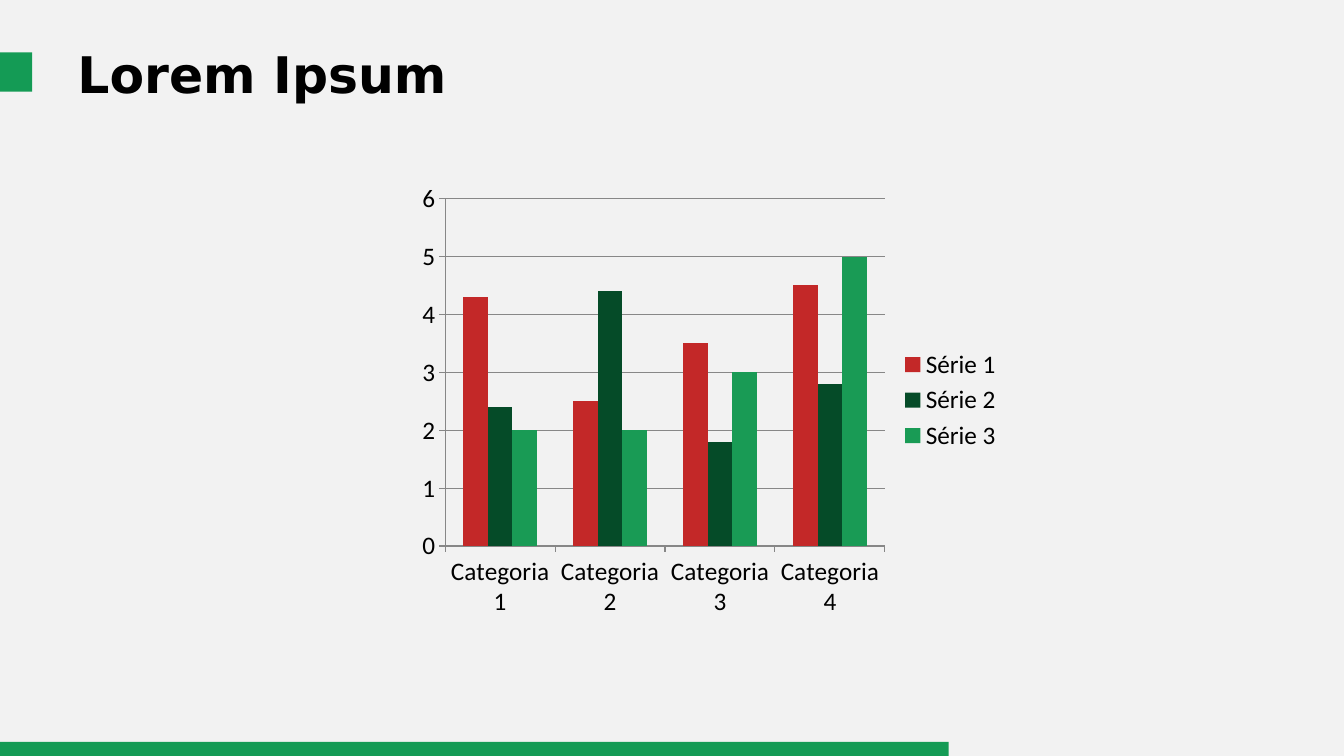
from pptx import Presentation
from pptx.chart.data import CategoryChartData
from pptx.dml.color import RGBColor
from pptx.enum.chart import XL_CHART_TYPE, XL_LEGEND_POSITION, XL_TICK_MARK
from pptx.enum.shapes import MSO_SHAPE
from pptx.enum.text import MSO_ANCHOR
from pptx.util import Inches, Pt

COLUMN = XL_CHART_TYPE.COLUMN_CLUSTERED
RIGHT = XL_LEGEND_POSITION.RIGHT
OUTSIDE = XL_TICK_MARK.OUTSIDE
RECT = MSO_SHAPE.RECTANGLE
MIDDLE = MSO_ANCHOR.MIDDLE

COLORS = {"back": "F2F2F2", "text": "000000", "band": "149B55", "grid": "878787",
          "red": "C32828", "dark": "054B28", "green": "199B55"}
FONTS = {"title": {"name": "DejaVu Sans", "size": Pt(36), "bold": True},
         "chart": {"name": "Calibri", "size": Pt(18), "bold": False}}
SERIES = [("Série 1", (4.3, 2.5, 3.5, 4.5), "red"),
          ("Série 2", (2.4, 4.4, 1.8, 2.8), "dark"),
          ("Série 3", (2, 2, 3, 5), "green")]


def apply(target, values):
    for name, value in values.items():
        setattr(target, name, value)


class Deck:
    """Hold the style and the current slide, and draw its elements."""

    def __init__(self, colors, fonts):
        self.colors = colors
        self.fonts = fonts
        self.file = Presentation()
        apply(self.file, {"slide_width": Inches(13.33), "slide_height": Inches(7.5)})
        self.slide = self.file.slides.add_slide(self.file.slide_layouts[6])
        self.paint(self.slide.background.fill, "back")

    def paint(self, fill, color):
        fill.solid()
        fill.fore_color.rgb = RGBColor.from_string(self.colors[color])

    def style(self, font, kind):
        apply(font, self.fonts[kind])
        font.color.rgb = RGBColor.from_string(self.colors["text"])

    def band(self, *box):
        shape = self.slide.shapes.add_shape(RECT, *map(Inches, box))
        shape.shadow.inherit = False
        self.paint(shape.fill, "band")
        shape.line.fill.background()

    def title(self, text, *box):
        frame = self.slide.shapes.add_textbox(*map(Inches, box)).text_frame
        apply(frame, {"word_wrap": True, "vertical_anchor": MIDDLE})
        run = frame.paragraphs[0].add_run()
        run.text = text
        self.style(run.font, "title")

    def rule(self, line):
        self.paint(line.fill, "grid")
        line.width = Pt(0.75)

    def chart(self, series, *box):
        data = CategoryChartData()
        data.categories = [f"Categoria {n}" for n in range(1, 5)]
        for name, values, _ in series:
            data.add_series(name, values)
        chart = self.slide.shapes.add_chart(COLUMN, *map(Inches, box), data).chart
        apply(chart, {"has_title": False, "has_legend": True})
        apply(chart.legend, {"position": RIGHT, "include_in_layout": False})
        self.style(chart.font, "chart")
        for axis in (chart.category_axis, chart.value_axis):
            axis.major_tick_mark = OUTSIDE
            self.rule(axis.format.line)
        apply(chart.value_axis, {"minimum_scale": 0, "maximum_scale": 6,
                                 "major_unit": 1, "has_major_gridlines": True})
        self.rule(chart.value_axis.major_gridlines.format.line)
        plot = chart.plots[0]
        apply(plot, {"gap_width": 150, "overlap": 0, "vary_by_categories": False})
        for bars, (_, _, color) in zip(plot.series, series):
            bars.invert_if_negative = False
            self.paint(bars.format.fill, color)


def main():
    deck = Deck(COLORS, FONTS)
    deck.chart(SERIES, 4.07, 1.73, 5.97, 4.48)
    deck.band(-0.03, 0.52, 0.35, 0.39)
    deck.band(0, 7.36, 9.41, 0.17)
    deck.title("Lorem Ipsum", 0.67, 0.29, 12, 0.87)
    deck.file.save("out.pptx")


if __name__ == "__main__":
    main()
